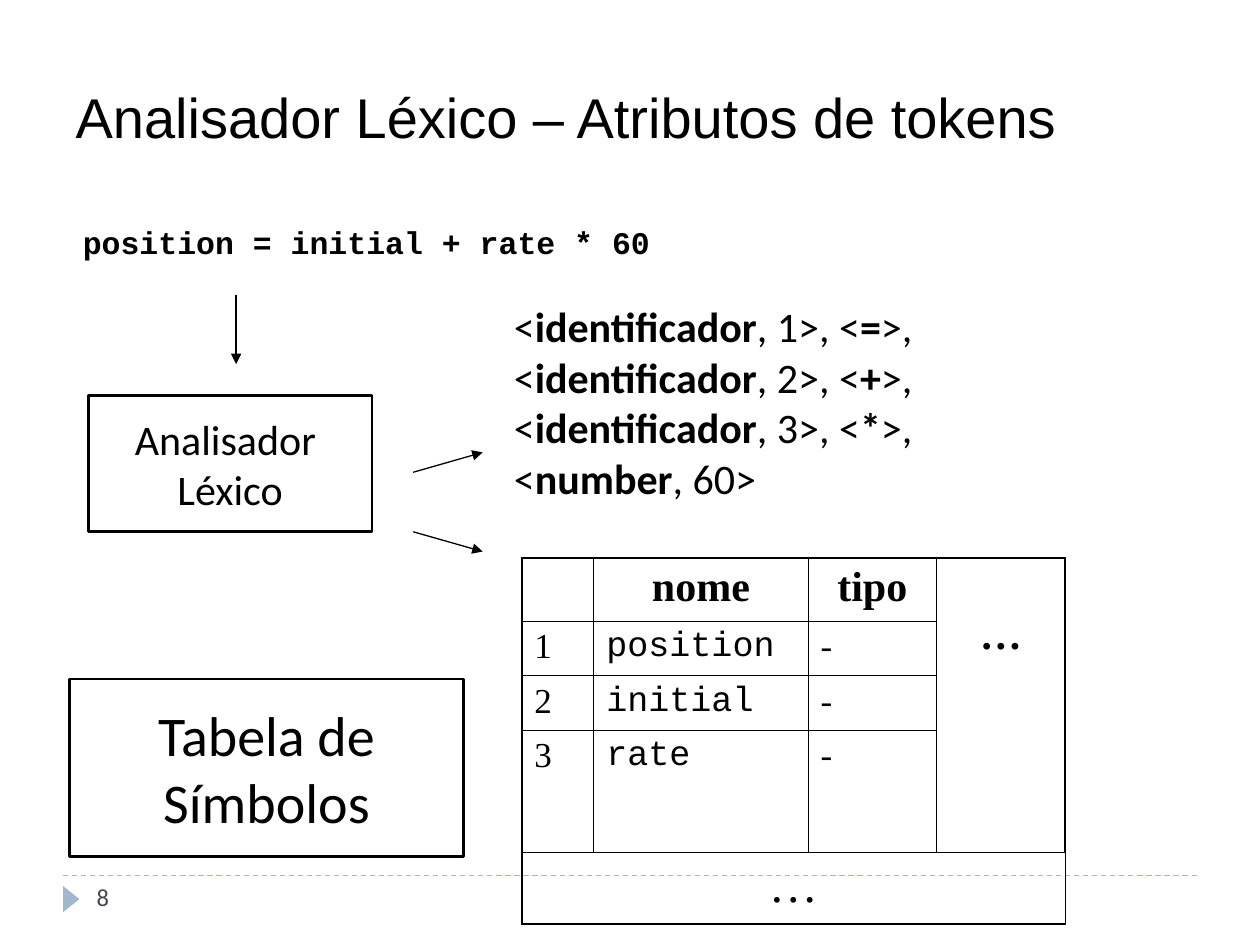
"""Build the slide about token attributes and the symbol table of a lexical analyser."""
from dataclasses import dataclass, field

from lxml import etree
from pptx import Presentation
from pptx import util as u
from pptx.dml.color import RGBColor
from pptx.enum import dml, shapes, text
from pptx.oxml import ns

BLACK = RGBColor(0x00, 0x00, 0x00)
WHITE = RGBColor(0xFF, 0xFF, 0xFF)
BLUE = RGBColor(0x9F, 0xB8, 0xCD)
GREY = RGBColor(0x46, 0x46, 0x53)
LEFT, CENTER = text.PP_ALIGN.LEFT, text.PP_ALIGN.CENTER
TOP, MIDDLE = text.MSO_ANCHOR.TOP, text.MSO_ANCHOR.MIDDLE
OUTER, INNER = u.Pt(1.08), u.Pt(0.45)


@dataclass
class Style:
    font: str
    size: float
    bold: bool = False
    align: int = LEFT
    color: RGBColor = BLACK


@dataclass
class Block:
    box: tuple
    lines: list
    style: Style
    wrap: bool = True
    anchor: int = TOP
    framed: bool = False


@dataclass
class Line:
    start: tuple
    end: tuple
    color: RGBColor = BLACK
    dash: int = None
    arrow: bool = True


@dataclass
class SymbolTable:
    box: tuple
    widths: list
    heights: list
    rows: list
    styles: list = field(default_factory=list)


HEADING = Style("Times New Roman", 24, True, CENTER)
NUMBER = Style("Times New Roman", 20)
CODE = Style("Courier New", 20)
FOOTER = Style("Times New Roman", 28, align=CENTER)

TITLE = Block((1.27, 0.76, 22.86, 3.18), ["Analisador Léxico – Atributos de tokens"],
              Style("Arial", 32), anchor=MIDDLE)
BLOCKS = [
    Block((1.42, 4.37, 11.94, 1.02), ["position = initial + rate * 60"],
          Style("Courier New", 18, True), wrap=False),
    Block((10.11, 5.94, 11.71, 4.32),
          ["<|identificador|, 1>, <|=|>, <|identificador|, 2>, <|+|>, "
           "<|identificador|, 3>, <|*|>, <|number|, 60>"], Style("Calibri", 24)),
    Block((1.4, 13.69, 7.95, 3.58), ["Tabela de Símbolos"],
          Style("Calibri", 32, align=CENTER), anchor=MIDDLE, framed=True),
    Block((1.78, 7.97, 5.72, 2.75), ["Analisador ", "Léxico"],
          Style("Calibri", 24, align=CENTER), wrap=False, anchor=MIDDLE, framed=True),
    Block((1.7, 17.65, 5.51, 1.02), ["8"], Style("Calibri", 14, color=GREY)),
]
RULE = Line((1.27, 17.65), (24.13, 17.65), BLUE, dml.MSO_LINE.DASH, False)
ARROWS = [
    Line((4.76, 5.94), (4.76, 7.34)),
    Line((8.33, 9.52), (9.73, 9.12)),
    Line((8.33, 10.72), (9.73, 11.12)),
]
SYMBOLS = SymbolTable(
    (10.52, 11.25), [1.45, 4.32, 2.59, 2.59], [1.27, 1.1, 1.1, 2.46, 1.45],
    [["", "nome", "tipo", "…"]]
    + [[str(index), name, "-", ""] for index, name in enumerate(("position", "initial", "rate"), 1)]
    + [["…", "", "", ""]],
    [[HEADING] * 4] + [[NUMBER, CODE, NUMBER, HEADING]] * 3 + [[FOOTER] * 4])


def lengths(values: tuple) -> list:
    """Convert centimetres to lengths."""
    return [u.Cm(value) for value in values]


def apply(target: object, values: dict) -> None:
    """Set each attribute of the target."""
    for name, value in values.items():
        setattr(target, name, value)


def write(paragraph: object, line: str, style: Style) -> None:
    """Fill a paragraph, with the odd parts between bars in bold."""
    paragraph.alignment = style.align
    for index, part in enumerate(line.split("|")):
        run = paragraph.add_run()
        run.text = part
        apply(run.font, {"name": style.font, "size": u.Pt(style.size),
                         "bold": style.bold or index % 2 == 1})
        run.font.color.rgb = style.color


def fill_block(shape: object, block: Block) -> None:
    """Place a shape and write its lines."""
    apply(shape, dict(zip(("left", "top", "width", "height"), lengths(block.box))))
    frame = shape.text_frame
    apply(frame, {"word_wrap": block.wrap, "vertical_anchor": block.anchor,
                  "auto_size": text.MSO_AUTO_SIZE.NONE})
    for index, line in enumerate(block.lines):
        write(frame.add_paragraph() if index else frame.paragraphs[0], line, block.style)


def draw_block(slide: object, block: Block) -> None:
    """Draw a text box or a framed rectangle."""
    if block.framed:
        shape = slide.shapes.add_shape(shapes.MSO_SHAPE.RECTANGLE, *lengths(block.box))
        shape.shadow.inherit = False
        shape.fill.solid()
        shape.fill.fore_color.rgb = WHITE
        shape.line.color.rgb = BLACK
        shape.line.width = u.Pt(1.5)
    else:
        shape = slide.shapes.add_textbox(*lengths(block.box))
    fill_block(shape, block)


def draw_line(slide: object, line: Line) -> None:
    """Draw a straight line, with an arrowhead if asked."""
    connector = slide.shapes.add_connector(
        shapes.MSO_CONNECTOR.STRAIGHT, *lengths(line.start + line.end))
    connector.line.color.rgb = line.color
    apply(connector.line, {"width": u.Pt(0.75), "dash_style": line.dash})
    if line.arrow:
        etree.SubElement(connector.line._get_or_add_ln(), ns.qn("a:tailEnd"), type="triangle")
    etree.SubElement(connector._element.spPr, ns.qn("a:effectLst"))


def draw_marker(slide: object) -> None:
    """Draw the triangle beside the slide number."""
    marker = slide.shapes.add_shape(
        shapes.MSO_SHAPE.ISOSCELES_TRIANGLE, *lengths((1.17, 17.96, 0.53, 0.33)))
    marker.rotation = 90
    marker.shadow.inherit = False
    marker.fill.solid()
    marker.fill.fore_color.rgb = BLUE
    marker.line.fill.background()


def set_borders(cell: object, widths: dict) -> None:
    """Give a cell black borders of the given widths."""
    properties = cell._tc.get_or_add_tcPr()
    for side, width in widths.items():
        border = etree.SubElement(properties, ns.qn(f"a:ln{side}"), w=str(int(width)))
        solid = etree.SubElement(border, ns.qn("a:solidFill"))
        etree.SubElement(solid, ns.qn("a:srgbClr"), val=str(BLACK))
    cell.fill.background()


def draw_table(slide: object, symbols: SymbolTable) -> None:
    """Draw the symbol table."""
    last_row, last_column = len(symbols.heights) - 1, len(symbols.widths) - 1
    size = (sum(symbols.widths), sum(symbols.heights))
    table = slide.shapes.add_table(
        last_row + 1, last_column + 1, *lengths(symbols.box + size)).table
    apply(table, {"first_row": False, "horz_banding": False})
    for column, width in zip(table.columns, symbols.widths):
        column.width = u.Cm(width)
    for row, height in zip(table.rows, symbols.heights):
        row.height = u.Cm(height)
    for r, (words, styles) in enumerate(zip(symbols.rows, symbols.styles)):
        for c, (word, style) in enumerate(zip(words, styles)):
            cell = table.cell(r, c)
            set_borders(cell, {"L": INNER if c else OUTER,
                               "R": OUTER if c == last_column else INNER,
                               "T": INNER if r else OUTER,
                               "B": OUTER if r == last_row else INNER})
            if word:
                write(cell.text_frame.paragraphs[0], word, style)
    table.cell(0, last_column).merge(table.cell(last_row - 1, last_column))
    table.cell(0, last_column).margin_top = u.Cm(1.09)
    table.cell(last_row, 0).merge(table.cell(last_row, last_column))


def main() -> None:
    """Build and save the presentation."""
    presentation = Presentation()
    apply(presentation, {"slide_width": u.Cm(25.4), "slide_height": u.Cm(19.05)})
    slide = presentation.slides.add_slide(presentation.slide_layouts[5])
    fill_block(slide.shapes.title, TITLE)
    draw_line(slide, RULE)
    draw_marker(slide)
    draw_table(slide, SYMBOLS)
    for block in BLOCKS:
        draw_block(slide, block)
    for arrow in ARROWS:
        draw_line(slide, arrow)
    presentation.save("out.pptx")


if __name__ == "__main__":
    main()
